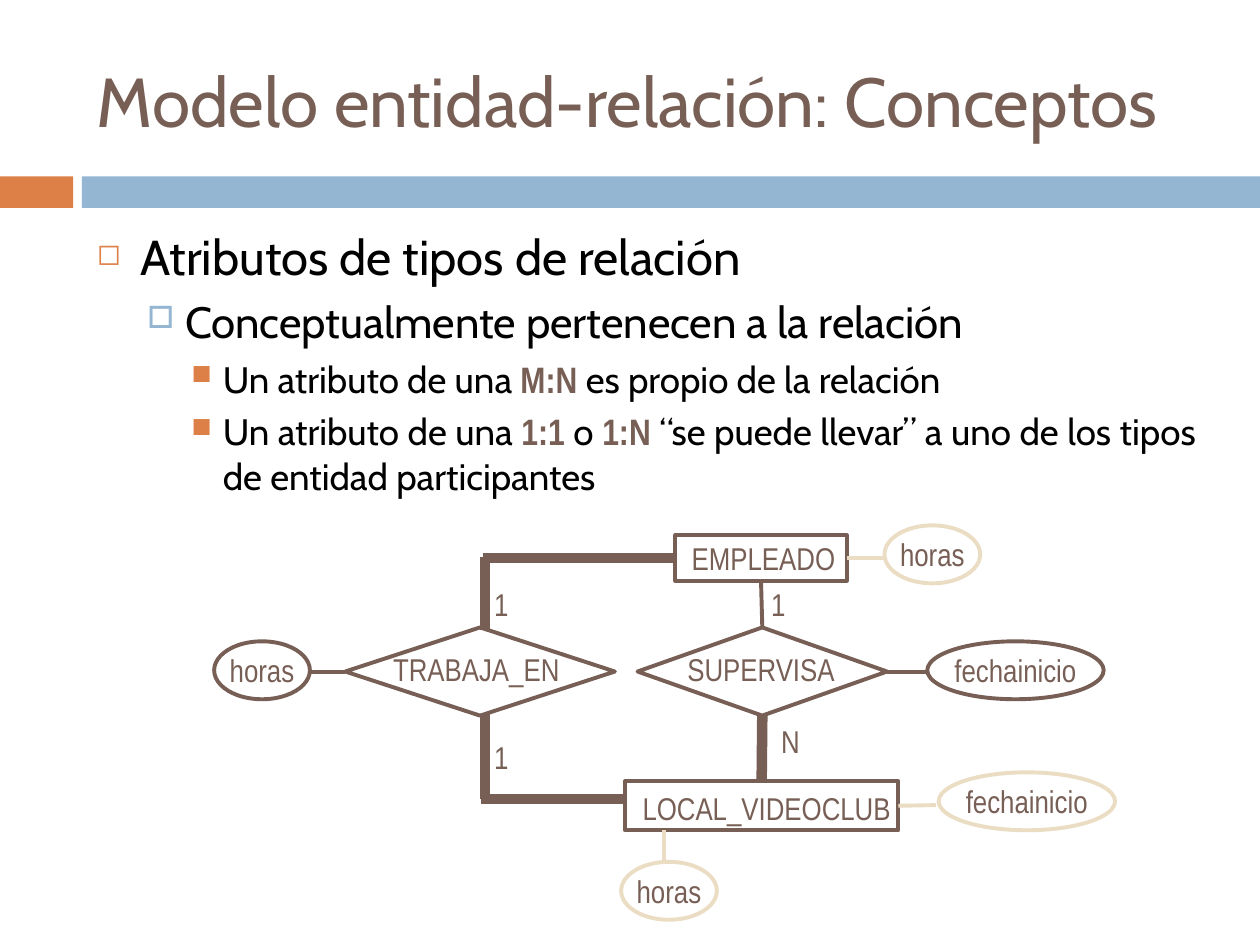
from pptx import Presentation
from pptx.dml.color import RGBColor
from pptx.enum.shapes import MSO_CONNECTOR, MSO_SHAPE
from pptx.enum.text import MSO_ANCHOR, PP_ALIGN
from pptx.oxml.ns import qn
from pptx.util import Inches, Pt
from lxml.etree import SubElement

BROWN, ORANGE, BLUE, SAND = "775F55", "DD8047", "94B6D2", "EBDDC3"
WHITE, BLACK = "FFFFFF", "000000"
MAIN_FONT, DIAGRAM_FONT = "Cabin", "Arial Narrow"
THIN, THICK = 2.25, 6
TOP, LEFT, BOTTOM, RIGHT = range(4)
OUTLINE_LEVELS = [
    (0.35, 0.35, 7, "◻", ORANGE, 60, 28),
    (0.7, 0.3, 5.5, "□", BLUE, 70, 25),
    (1, 0.25, 5, "■", ORANGE, 75, 21),
]


def color(value):
    return RGBColor.from_string(value)


class DiagramPage:
    def __init__(self, page):
        self.page = page

    def style(self, font, name, size, value):
        font.name = name
        font.size = Pt(size)
        font.color.rgb = color(value)

    def frame(self, box, insets=(0.1, 0.05, 0.1, 0.05), anchor=MSO_ANCHOR.TOP, wrap=True):
        frame = box.text_frame
        frame.word_wrap = wrap
        frame.vertical_anchor = anchor
        frame.margin_left, frame.margin_top, frame.margin_right, frame.margin_bottom = map(Inches, insets)
        return frame

    def label(self, frame, words, align=PP_ALIGN.CENTER, name=DIAGRAM_FONT, size=18):
        para = frame.paragraphs[0]
        para.text = words
        para.alignment = align
        self.style(para.font, name, size, BROWN)

    def shape(self, kind, at, fill=WHITE, line=None):
        shape = self.page.shapes.add_shape(kind, *map(Inches, at))
        shape.shadow.inherit = False
        shape.fill.solid()
        shape.fill.fore_color.rgb = color(fill)
        if line:
            shape.line.color.rgb = color(line)
            shape.line.width = Pt(THIN)
        else:
            shape.line.fill.background()
        return shape

    def text(self, words, at, align=PP_ALIGN.CENTER, name=DIAGRAM_FONT, size=18, **layout):
        box = self.page.shapes.add_textbox(*map(Inches, at))
        self.label(self.frame(box, **layout), words, align, name, size)

    def entity(self, words, at, insets):
        box = self.shape(MSO_SHAPE.RECTANGLE, at, line=BROWN)
        self.label(self.frame(box, insets, MSO_ANCHOR.MIDDLE), words)
        return box

    def relation(self, at):
        return self.shape(MSO_SHAPE.DIAMOND, at, line=BROWN)

    def attribute(self, words, left, top, line):
        width = 0.76 if words == "horas" else 1.4
        oval = self.shape(MSO_SHAPE.OVAL, (left, top, width, 0.46), line=line)
        self.label(self.frame(oval, (0, 0, 0, 0), MSO_ANCHOR.MIDDLE, False), words)

    def cardinality(self, words, left, top, align=PP_ALIGN.LEFT):
        self.text(words, (left, top, 0.46, 0.36), align, insets=(0, 0.05, 0, 0.01))

    def link(self, start, end, line=BROWN, width=THIN, begin=None, finish=None):
        link = self.page.shapes.add_connector(MSO_CONNECTOR.STRAIGHT, *map(Inches, start + end))
        link.line.color.rgb = color(line)
        link.line.width = Pt(width)
        SubElement(link._element.spPr, qn("a:effectLst"))
        if begin:
            link.begin_connect(*begin)
        if finish:
            link.end_connect(*finish)

    def outline(self, at, entries):
        box = self.page.shapes.add_textbox(*map(Inches, at))
        frame = self.frame(box)
        for index, (level, pieces) in enumerate(entries):
            indent, hanging, space, mark, mark_color, percent, size = OUTLINE_LEVELS[level]
            para = frame.add_paragraph() if index else frame.paragraphs[0]
            para.level = level
            para.alignment = PP_ALIGN.JUSTIFY
            if index:
                para.space_before = Pt(space)
            properties = para._p.get_or_add_pPr()
            properties.set("marL", str(Inches(indent)))
            properties.set("indent", str(-Inches(hanging)))
            bullet_color = SubElement(properties, qn("a:buClr"))
            SubElement(bullet_color, qn("a:srgbClr"), val=mark_color)
            SubElement(properties, qn("a:buSzPct"), val=str(percent * 1000))
            SubElement(properties, qn("a:buChar"), char=mark)
            self.style(para.font, MAIN_FONT, size, BLACK)
            for position, words in enumerate(pieces):
                span = para.add_run()
                span.text = words
                if position % 2:
                    self.style(span.font, DIAGRAM_FONT, size, BROWN)
                    span.font.bold = True


def main():
    deck = Presentation()
    deck.slide_width, deck.slide_height = Inches(10), Inches(7.5)
    page = DiagramPage(deck.slides.add_slide(deck.slide_layouts[6]))

    page.shape(MSO_SHAPE.RECTANGLE, (0, 1.4, 0.58, 0.25), ORANGE)
    page.shape(MSO_SHAPE.RECTANGLE, (0.65, 1.4, 9.35, 0.25), BLUE)
    page.text("Modelo entidad-relación: Conceptos", (0.67, 0.25, 8.92, 1.08),
              PP_ALIGN.LEFT, MAIN_FONT, 39.6, anchor=MSO_ANCHOR.MIDDLE)
    page.outline((0.67, 1.75, 8.92, 5.39), [
        (0, ["Atributos de tipos de relación"]),
        (1, ["Conceptualmente pertenecen a la relación"]),
        (2, ["Un atributo de una ", "M:N ", "es propio de la relación"]),
        (2, ["Un atributo de una ", "1:1", " o ", "1:N ",
             "“se puede llevar” a uno de los tipos de entidad participantes"]),
    ])

    works = page.relation((2.74, 4.98, 2.14, 0.7))
    supervises = page.relation((5.06, 4.98, 1.98, 0.7))
    employee = page.entity("EMPLEADO", (5.36, 4.25, 1.36, 0.36), (0.08, 0.01, 0.04, 0.01))
    store = page.entity("LOCAL_VIDEOCLUB", (4.96, 6.2, 2.17, 0.39), (0.08, 0.05, 0, 0.01))

    for words, left, top, line in [
        ("horas", 1.7, 5.09, BROWN),
        ("fechainicio", 7.36, 5.09, BROWN),
        ("horas", 7.02, 4.17, SAND),
        ("horas", 4.93, 6.84, SAND),
        ("fechainicio", 7.45, 6.13, SAND),
    ]:
        page.attribute(words, left, top, line)

    page.link((2.47, 5.33), (2.74, 5.33), finish=(works, LEFT))
    page.link((7.04, 5.33), (7.35, 5.33), begin=(supervises, RIGHT))
    page.link((6.72, 4.43), (7.02, 4.43), SAND, begin=(employee, RIGHT))
    page.link((7.13, 6.39), (7.43, 6.39), SAND, begin=(store, RIGHT))
    page.link((5.27, 6.84), (5.27, 6.59), SAND)
    page.link((6.04, 4.61), (6.05, 4.98), begin=(employee, BOTTOM), finish=(supervises, TOP))
    page.link((6.05, 5.68), (6.05, 6.2), width=THICK, begin=(supervises, BOTTOM), finish=(store, TOP))
    page.link((3.85, 5), (3.85, 4.42), width=THICK)
    page.link((3.83, 4.43), (5.36, 4.43), width=THICK, finish=(employee, LEFT))
    page.link((3.85, 5.67), (3.85, 6.34), width=THICK)
    page.link((3.82, 6.34), (4.96, 6.34), width=THICK)

    page.text("TRABAJA_EN", (3.02, 5.11, 1.52, 0.4), wrap=False)
    page.text("SUPERVISA", (5.35, 5.11, 1.38, 0.4), wrap=False)
    page.cardinality("1", 6.12, 4.59)
    page.cardinality("N", 6.2, 5.68)
    for top in (4.59, 5.81):
        page.cardinality("1", 3.75, top, PP_ALIGN.CENTER)

    deck.save("out.pptx")


if __name__ == "__main__":
    main()
